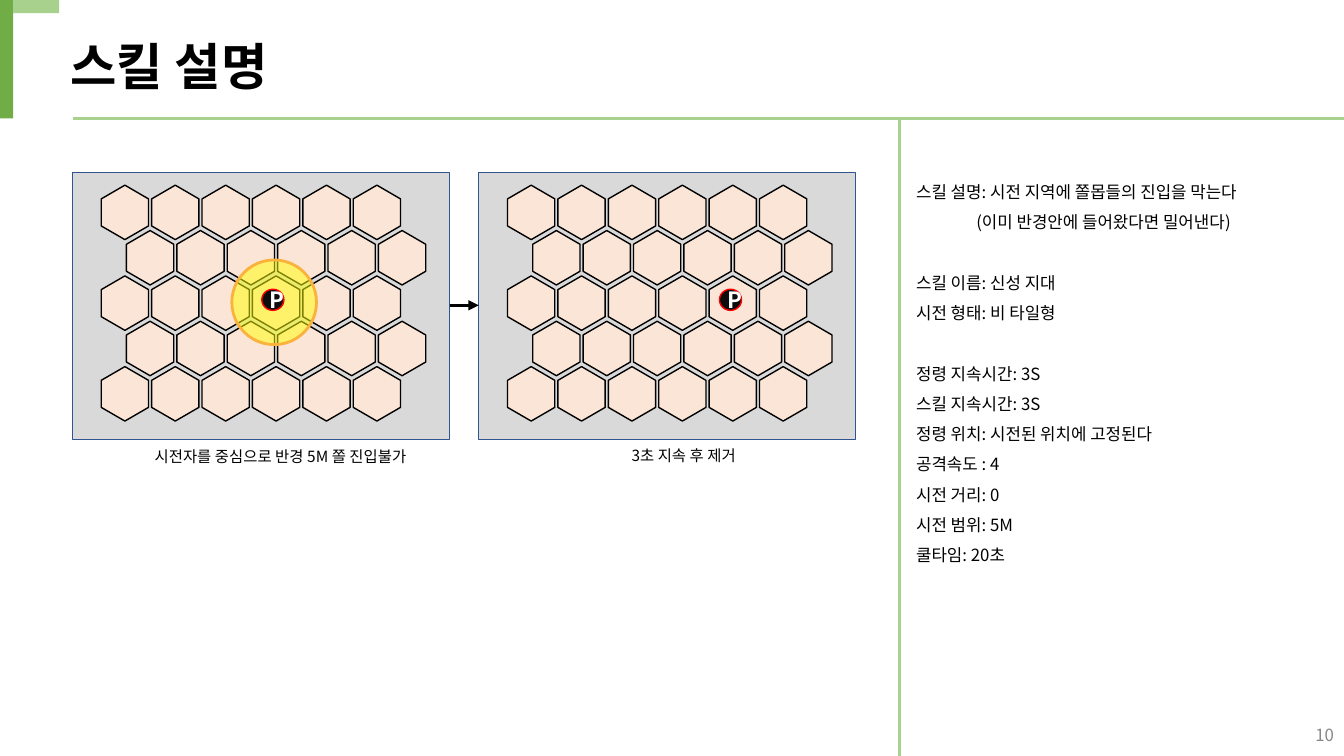
from lxml import etree
from pptx import Presentation
from pptx.dml.color import RGBColor
from pptx.enum.shapes import MSO_CONNECTOR, MSO_SHAPE
from pptx.enum.text import MSO_ANCHOR, PP_ALIGN
from pptx.oxml.ns import qn
from pptx.util import Pt

RECT, OVAL, HEXAGON = MSO_SHAPE.RECTANGLE, MSO_SHAPE.OVAL, MSO_SHAPE.HEXAGON
STRAIGHT = MSO_CONNECTOR.STRAIGHT
LEFT, CENTER, RIGHT = PP_ALIGN.LEFT, PP_ALIGN.CENTER, PP_ALIGN.RIGHT
TOP, MIDDLE = MSO_ANCHOR.TOP, MSO_ANCHOR.MIDDLE
FONT = "Noto Sans CJK KR"
COLORS = {
    "black": "000000", "white": "FFFFFF", "page": "888888",
    "green": "70AD47", "light_green": "A9D18E",
    "board": "D9D9D9", "board_edge": "325491", "tile": "FBE5D6",
    "zone": "FFFF00", "zone_edge": "FAB23C",
    "player": "0D0D0D", "player_edge": "FF0000",
}
SKILL_GROUPS = [
    ["스킬 설명: 시전 지역에 쫄몹들의 진입을 막는다",
     "(이미 반경안에 들어왔다면 밀어낸다)"],
    ["스킬 이름: 신성 지대", "시전 형태: 비 타일형"],
    ["정령 지속시간: 3S", "스킬 지속시간: 3S",
     "정령 위치: 시전된 위치에 고정된다", "공격속도 : 4",
     "시전 거리: 0", "시전 범위: 5M", "쿨타임: 20초"],
]


def color(name):
    """Return the named palette colour."""
    return RGBColor.from_string(COLORS[name])


def write(paragraph, text, size=12, ink="black", bold=False, align=LEFT):
    """Put formatted text into a paragraph."""
    paragraph.alignment = align
    run = paragraph.add_run()
    run.text = text
    run.font.size = Pt(size)
    run.font.bold = bold
    run.font.color.rgb = color(ink)
    run.font.name = FONT
    etree.SubElement(run.font._element, qn("a:ea")).set("typeface", FONT)


def add_text(slide, box, text, anchor=TOP, **style):
    """Add a wrapping text box with one paragraph."""
    frame = slide.shapes.add_textbox(*map(Pt, box)).text_frame
    frame.word_wrap = True
    frame.vertical_anchor = anchor
    write(frame.paragraphs[0], text, **style)


def add_figure(slide, kind, box, fill, edge=None, weight=1):
    """Add a flat preset shape."""
    figure = slide.shapes.add_shape(kind, *map(Pt, box))
    figure.shadow.inherit = False
    figure.fill.solid()
    figure.fill.fore_color.rgb = color(fill)
    if edge:
        figure.line.color.rgb = color(edge)
        figure.line.width = Pt(weight)
    else:
        figure.line.fill.background()
    return figure


def add_line(slide, ends, ink, weight, arrow=False):
    """Add a straight line, with an arrowhead at its end if asked."""
    line = slide.shapes.add_connector(STRAIGHT, *map(Pt, ends))
    line.line.color.rgb = color(ink)
    line.line.width = Pt(weight)
    if arrow:
        etree.SubElement(line.line._get_or_add_ln(), qn("a:tailEnd")).set("type", "triangle")
    etree.SubElement(line._element.spPr, qn("a:effectLst"))


def add_board(slide, box):
    """Draw a board of five staggered rows of six hexagonal tiles."""
    left, top, _, _ = box
    add_figure(slide, RECT, box, "board", "board_edge")
    for row in range(5):
        for column in range(6):
            x = left + 18 + 36 * column + 18 * (row % 2)
            y = top + 11.7 + 32.4 * row
            tile = add_figure(slide, HEXAGON, (x, y, 38.9, 33.8), "tile", "black")
            tile.adjustments[0] = 0.29
            tile.rotation = 270


def add_zone(slide, box):
    """Draw the half-transparent area of effect."""
    zone = add_figure(slide, OVAL, box, "zone", "zone_edge", 2)
    tint = zone.fill._xPr.find(qn("a:solidFill"))[0]
    etree.SubElement(tint, qn("a:alpha")).set("val", "50000")


def add_player(slide, box):
    """Draw the player marker with its letter."""
    frame = add_figure(slide, OVAL, box, "player", "player_edge").text_frame
    frame.word_wrap = False
    frame.vertical_anchor = MIDDLE
    frame.margin_left = Pt(6)
    frame.margin_right = frame.margin_top = frame.margin_bottom = 0
    write(frame.paragraphs[0], "P", size=16, ink="white", bold=True, align=CENTER)


def add_header(slide, box):
    """Draw the corner mark, the title and its rule."""
    left, top, width, height = box
    add_figure(slide, RECT, (left, top, 9.4, height), "green")
    add_figure(slide, RECT, (left + 9.4, top, 32.8, 9.4), "light_green")
    title = slide.shapes.title
    title.left, title.top, title.width, title.height = map(
        Pt, (left + 43.2, top + 20.9, 746.6, 51.1))
    title.text_frame.vertical_anchor = MIDDLE
    write(title.text_frame.paragraphs[0], "스킬 설명", size=36, bold=True)
    add_line(slide, (left + 52, top + height, left + width, top + height), "light_green", 2.25)


def add_stages(slide, box):
    """Draw the two boards, the arrow between them and their captions."""
    left, top, width, height = box
    board_width, step = 269.3, width - 269.3
    middle = top + 95
    for x in (left, left + step):
        add_board(slide, (x, top, board_width, height))
    add_line(slide, (left + board_width, middle, left + step, middle), "black", 2.5, arrow=True)
    captions = [(0.6, 193, "시전자를 중심으로 반경 5M 쫄 진입불가"),
                (288.6, 192.2, "3초 지속 후 제거")]
    for x, y, caption in captions:
        add_text(slide, (left + x, top + y, 296, 20.9), caption, size=11, align=CENTER)
    add_zone(slide, (left + 113.8, top + 62.6, 60.5, 60.5))
    for x in (135.2, 462.1):
        add_player(slide, (left + x, top + 83.5, 15.8, 15.1))


def add_skill_details(slide, box):
    """Draw the divider and the grouped skill facts beside it."""
    left, top, width, height = box
    add_line(slide, (left, top + height, left, top), "light_green", 2.25)
    frame = slide.shapes.add_textbox(
        Pt(left + 5), Pt(top + 34.6), Pt(width - 9.6), Pt(288)).text_frame
    frame.word_wrap = True
    paragraph = frame.paragraphs[0]
    for group_index, group in enumerate(SKILL_GROUPS):
        for fact_index, fact in enumerate(group):
            if group_index or fact_index:
                paragraph = frame.add_paragraph()
            paragraph.line_spacing = Pt(21.6)
            if group_index and not fact_index:
                paragraph.space_before = Pt(21.6)
            if fact.startswith("("):
                paragraph._p.get_or_add_pPr().set("marL", str(Pt(43)))
            write(paragraph, fact)


def main():
    """Build and save the skill slide."""
    deck = Presentation()
    deck.slide_width, deck.slide_height = Pt(960), Pt(540)
    slide = deck.slides.add_slide(deck.slide_layouts[5])
    add_header(slide, (0, 0, 960, 84.6))
    add_stages(slide, (51.8, 123.1, 559.5, 190.8))
    add_skill_details(slide, (642.3, 84.6, 317.7, 455.4))
    add_text(slide, (744, 510.5, 216, 28.8), "10", anchor=MIDDLE, ink="page", align=RIGHT)
    deck.save("out.pptx")


if __name__ == "__main__":
    main()
